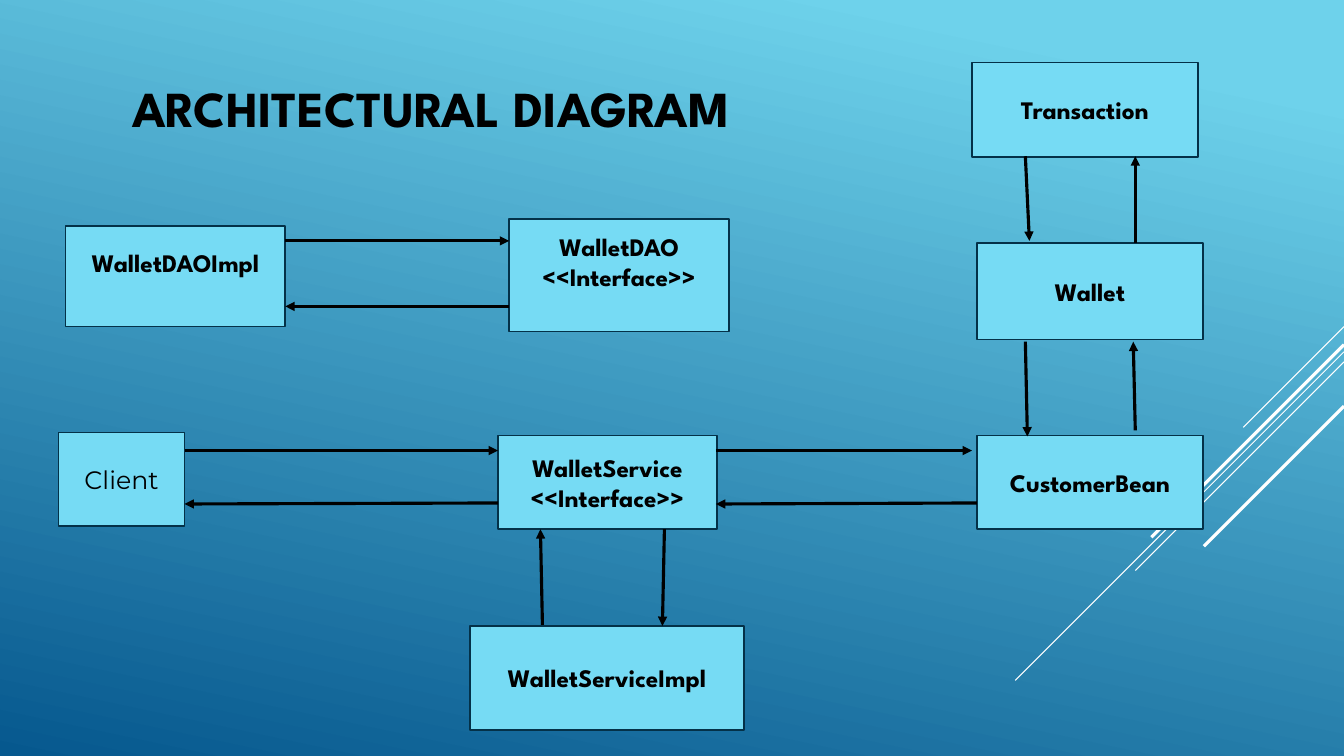
"""Build the architectural diagram slide."""
from lxml import etree
from pptx import Presentation
from pptx.dml.color import RGBColor
from pptx.enum import shapes, text
from pptx.oxml import ns
from pptx.util import Inches, Pt

SKY = RGBColor(0x6E, 0xD2, 0xEB)
DEEP = RGBColor(0x06, 0x58, 0x8E)
BOX = RGBColor(0x76, 0xDB, 0xF4)
EDGE = RGBColor(0x04, 0x31, 0x48)
BLACK = RGBColor(0, 0, 0)
WHITE = RGBColor(0xFF, 0xFF, 0xFF)


def write(tf, content, size=18, font="League Spartan", bold=True,
          color=BLACK, align=text.PP_ALIGN.CENTER):
    tf.word_wrap = True
    tf.vertical_anchor = text.MSO_ANCHOR.MIDDLE
    for i, line in enumerate(content.split("\n")):
        p = tf.add_paragraph() if i else tf.paragraphs[0]
        p.alignment = align
        r = p.add_run()
        r.text = line
        r.font.size = Pt(size)
        r.font.name = font
        r.font.bold = bold
        r.font.color.rgb = color


class Diagram:
    def __init__(self, prs):
        self.s = prs.slides.add_slide(prs.slide_layouts[5])

    def background(self, angle, *stops):
        fill = self.s.background.fill
        fill.gradient()
        fill.gradient_angle = angle
        for stop, (position, color) in zip(fill.gradient_stops, stops):
            stop.position = position
            stop.color.rgb = color

    def title(self, content, left, top, width, height):
        sp = self.s.shapes.title
        sp.left, sp.top = Inches(left), Inches(top)
        sp.width, sp.height = Inches(width), Inches(height)
        write(sp.text_frame, content, size=36, align=text.PP_ALIGN.LEFT)

    def box(self, content, left, top, width, height, bottom=0.05, **fmt):
        sp = self.s.shapes.add_shape(
            shapes.MSO_SHAPE.RECTANGLE, Inches(left), Inches(top),
            Inches(width), Inches(height))
        sp.shadow.inherit = False
        sp.fill.solid()
        sp.fill.fore_color.rgb = BOX
        sp.line.color.rgb = EDGE
        sp.line.width = Pt(1.25)
        sp.text_frame.margin_bottom = Inches(bottom)
        write(sp.text_frame, content, **fmt)

    def line(self, x1, y1, x2, y2, color=WHITE, width=2.25):
        cxn = self.s.shapes.add_connector(
            shapes.MSO_CONNECTOR.STRAIGHT,
            Inches(x1), Inches(y1), Inches(x2), Inches(y2))
        cxn.line.color.rgb = color
        cxn.line.width = Pt(width)
        etree.SubElement(cxn._element.spPr, ns.qn("a:effectLst"))
        return cxn

    def arrow(self, *ends):
        cxn = self.line(*ends, color=BLACK)
        ln = cxn.line._get_or_add_ln()
        etree.SubElement(ln, ns.qn("a:tailEnd"), type="triangle")


prs = Presentation()
prs.slide_width, prs.slide_height = Inches(13.33), Inches(7.5)
d = Diagram(prs)
d.background(258, (0.1, SKY), (1, DEEP))

for start_y, run, width in [(3.24, 1, 0.75), (3.49, 3.26, 0.75),
                            (3.59, 2.07, 0.75), (3.42, 1.91, 2.25),
                            (4.03, 1.39, 2.25)]:
    d.line(13.33, start_y, 13.33 - run, start_y + run, width=width)

d.title("ARCHITECTURAL DIAGRAM", 1.21, 0.24, 9.33, 1.65)
d.box("Client", 0.58, 4.29, 1.25, 0.93, font="Montserrat", bold=False)
d.box("WalletService\n<<Interface>>", 4.94, 4.32, 2.17, 0.93)
d.box("WalletDAO\n<<Interface>>", 5.05, 2.17, 2.18, 1.12, bottom=0.32)
d.box("Wallet", 9.69, 2.41, 2.24, 0.96)
d.box("CustomerBean", 9.69, 4.32, 2.24, 0.93)
d.box("Transaction", 9.64, 0.62, 2.24, 0.94)
d.box("WalletDAOImpl", 0.65, 2.24, 2.18, 1, bottom=0.32)
d.box("WalletServiceImpl", 4.66, 6.21, 2.72, 1.03)

for ends in [(1.83, 4.47, 4.94, 4.47), (4.94, 4.99, 1.83, 5),
             (2.83, 2.39, 5.05, 2.39), (5.05, 3.04, 2.83, 3.04),
             (5.38, 6.2, 5.36, 5.25), (6.59, 5.25, 6.57, 6.21),
             (10.17, 1.55, 10.21, 2.39), (11.26, 2.41, 11.26, 1.55),
             (10.17, 3.39, 10.19, 4.33), (11.26, 4.27, 11.24, 3.39),
             (7.1, 4.47, 9.64, 4.47), (9.69, 4.99, 7.1, 5)]:
    d.arrow(*ends)

prs.save("out.pptx")
